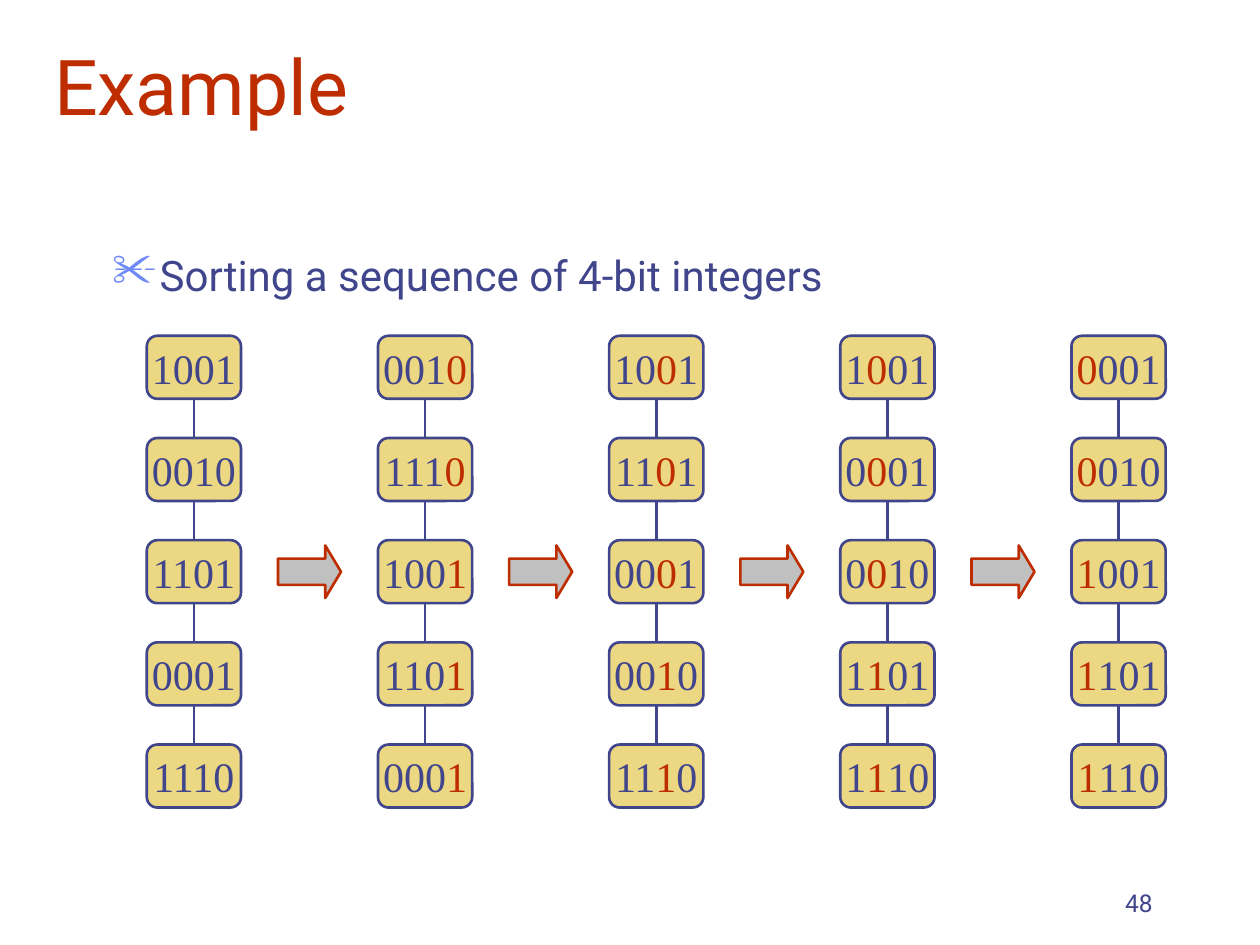
from lxml.etree import SubElement as Sub
from pptx import Presentation as Deck
from pptx.dml.color import RGBColor as Rgb
from pptx.enum.shapes import MSO_CONNECTOR as Link, MSO_SHAPE as Form
from pptx.enum.text import MSO_ANCHOR as Anchor, PP_ALIGN as Align
from pptx.oxml.ns import qn
from pptx.util import Cm, Pt

TITLE = "Example"
POINT = "Sorting a sequence of 4-bit integers"
PAGE = "48"
STAGES = [
    "1001 0010 1101 0001 1110",
    "0010 1110 1001 1101 0001",
    "1001 1101 0001 0010 1110",
    "1001 0001 0010 1101 1110",
    "0001 0010 1001 1101 1110",
]

THEME = {
    "ink": "40458C", "hot": "BE2D00", "box": "ECD882",
    "arrow": "C0C0C0", "mark": "6F89F7",
    "sans": "Roboto", "serif": "Times New Roman",
    "head": 44, "body": 24, "foot": 14, "line": 1.5,
}
LEFT, TOP, WIDE, HIGH = 2.96, 6.77, 1.9, 1.27
STEP, DROP = 4.66, 2.06
SLIM = 1.06


def tint(name):
    return Rgb.from_string(THEME[name])


def apply(thing, style):
    for key, val in style.items():
        setattr(thing, key, val)


def write(para, text, size, face, tone):
    run = para.add_run()
    run.text = text
    apply(run.font, {"size": Pt(THEME[size]), "name": THEME[face]})
    run.font.color.rgb = tint(tone)


def label(slide, area, text, size, tone, anchor, align=Align.LEFT):
    frame = slide.shapes.add_textbox(*map(Cm, area)).text_frame
    apply(frame, {"word_wrap": True, "vertical_anchor": anchor})
    para = frame.paragraphs[0]
    para.alignment = align
    write(para, text, size, "sans", tone)
    return para


def bullet(para, sign):
    props = para._p.get_or_add_pPr()
    props.set("marL", str(Cm(0.96)))
    props.set("indent", str(Cm(-0.96)))
    hue = Sub(props, qn("a:buClr"))
    Sub(hue, qn("a:srgbClr"), val=THEME["mark"])
    Sub(props, qn("a:buSzPct"), val="110000")
    Sub(props, qn("a:buChar"), char=sign)


def stroke(line, tone):
    line.width = Pt(THEME["line"])
    line.color.rgb = tint(tone)


def shape(shapes, form, area, fill, edge, bends):
    item = shapes.add_shape(form, *map(Cm, area))
    item.shadow.inherit = False
    item.fill.solid()
    item.fill.fore_color.rgb = tint(fill)
    stroke(item.line, edge)
    for spot, bend in enumerate(bends):
        item.adjustments[spot] = bend
    return item


def node(shapes, x, y, bits, digit):
    box = shape(shapes, Form.ROUNDED_RECTANGLE, (x, y, WIDE, HIGH),
                "box", "ink", [0.167])
    frame = box.text_frame
    apply(frame, {"margin_left": 0, "margin_right": 0, "word_wrap": False,
                  "vertical_anchor": Anchor.MIDDLE})
    para = frame.paragraphs[0]
    para.alignment = Align.CENTER
    parts = [(bits[:digit], "ink"), (bits[digit:digit + 1], "hot"),
             (bits[digit + 1:], "ink")]
    for text, tone in parts:
        if text:
            write(para, text, "body", "serif", tone)


def chain(slide, x, items, digit):
    shapes = slide.shapes.add_group_shape().shapes
    mid = Cm(x + WIDE / 2)
    end = TOP + DROP * (len(items) - 1)
    line = shapes.add_connector(Link.STRAIGHT, mid, Cm(TOP + HIGH), mid, Cm(end))
    stroke(line.line, "ink")
    Sub(line._element.spPr, qn("a:effectLst"))
    for row, bits in enumerate(items):
        node(shapes, x, TOP + row * DROP, bits, digit)


def main():
    deck = Deck()
    apply(deck, {"slide_width": Cm(25.4), "slide_height": Cm(19.05)})
    slide = deck.slides.add_slide(deck.slide_layouts[6])
    label(slide, (0.84, 0.43, 24.13, 2.34), TITLE, "head", "hot", Anchor.BOTTOM)
    bullet(label(slide, (2.01, 4.9, 20.98, 1.3), POINT, "body", "ink",
                 Anchor.TOP), "✂")
    label(slide, (18.21, 17.35, 5.28, 1.27), PAGE, "foot", "ink",
          Anchor.BOTTOM, Align.RIGHT)
    for col, stage in enumerate(STAGES):
        chain(slide, LEFT + col * STEP, stage.split(), 4 - col)
    gap = LEFT + (WIDE + STEP - SLIM) / 2
    for col in range(len(STAGES) - 1):
        arrow = shape(slide.shapes, Form.DOWN_ARROW,
                      (gap + col * STEP, TOP + 2 * DROP, SLIM, HIGH),
                      "arrow", "hot", [0.5, 0.3])
        arrow.rotation = 270
    deck.save("out.pptx")


if __name__ == "__main__":
    main()
